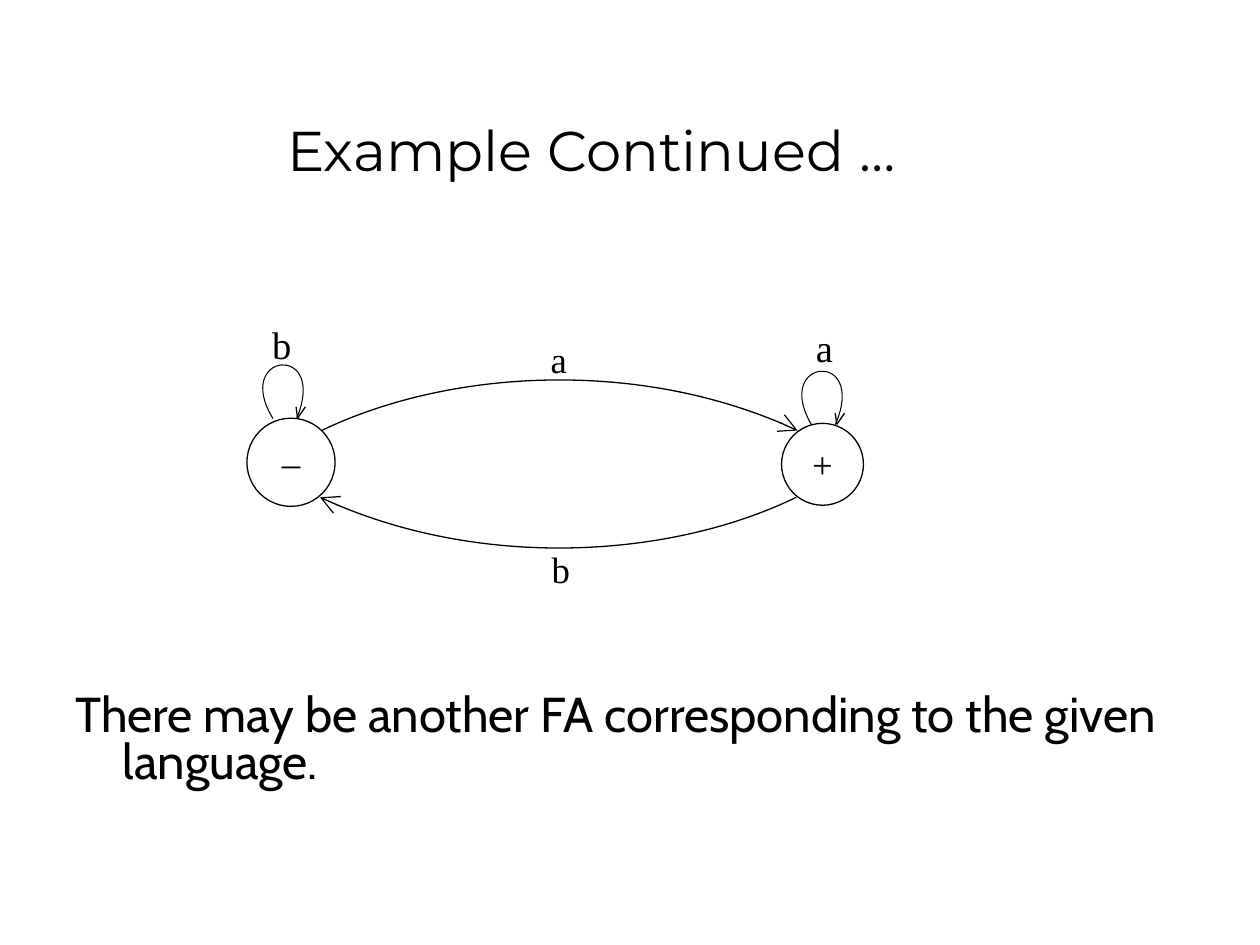
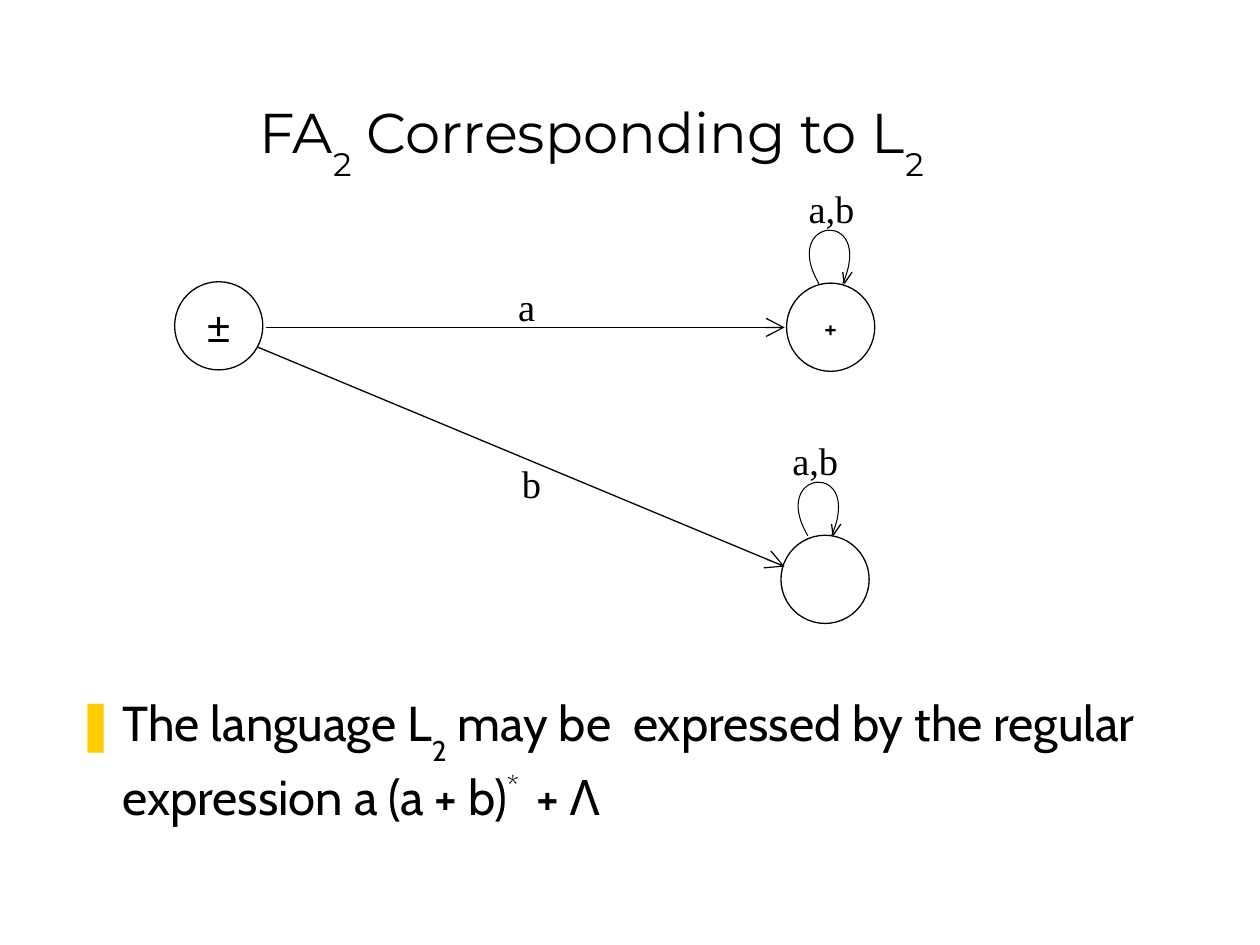
from lxml import etree
from pptx import Presentation
from pptx.dml.color import RGBColor
from pptx.enum.shapes import MSO_CONNECTOR, MSO_SHAPE
from pptx.enum.text import MSO_ANCHOR, PP_ALIGN
from pptx.oxml.ns import qn
from pptx.util import Pt

STRAIGHT = MSO_CONNECTOR.STRAIGHT
ELLIPSE = MSO_SHAPE.OVAL
TOP, MIDDLE, BOTTOM = MSO_ANCHOR.TOP, MSO_ANCHOR.MIDDLE, MSO_ANCHOR.BOTTOM
LEFT, CENTER = PP_ALIGN.LEFT, PP_ALIGN.CENTER

color = RGBColor.from_string
BLACK, WHITE, YELLOW = "000000", "FFFFFF", "FFCC00"
TITLE_FONT, BODY_FONT, LABEL_FONT = "Montserrat", "Cabin", "Times New Roman"
TITLE_AREA = (32, 18, 612, 90)
BODY_INSET = (7.2, 247.5)  # the sentence sits below the diagram
LINE_WIDTH, LOOP_WIDTH = 0.75, 0.6

# Self-loop and the two strokes of its arrowhead, relative to the loop's corner
LOOP_CURVE = [(25.8, 45.8), (0, 9.7), (54.2, 0), (39.4, 44.6)]
LOOP_HEAD = [[(38.3, 45.4), (42.7, 39)], [(37.4, 39), (38.3, 45.4)]]

SLIDES = [
    {
        "title": [("Example Continued …", 0)],
        "body": [("There may be another FA corresponding to the given language.", 0)],
        "body_top": 149.8, "line_spacing": 0.8, "bullet": False,
        # left, top, diameter, text, font, size
        "states": [(141.1, 239, 50.4, "–", LABEL_FONT, 21),
                   (446.6, 241.9, 46.8, "+", LABEL_FONT, 21)],
        # left, top, rotation
        "loops": [(131.8, 193.5, 4), (439.9, 197.1, 5)],
        "curves": [[(183.8, 246), (253.4, 212.4), (365.8, 203.8), (455.8, 246)],
                   [(455, 284.2), (385.2, 318.2), (272.9, 326.2), (182.9, 284.2)]],
        "lines": [],
        # left, top, width, text, size
        "labels": [(459.1, 181.4, 60.5, "a", 22), (148.5, 180, 60.5, "b", 22),
                   (308.2, 308.9, 28, "b", 21), (307.6, 189, 24, "a", 21)],
    },
    {
        "title": [("FA", 0), ("2", -40), (" Corresponding to L", 0), ("2", -40)],
        "body": [("The language L", 0), ("2", -40),
                 (" may be  expressed by the regular expression a (a + b)", 0),
                 ("* ", 40), (" + Λ", 0)],
        "body_top": 148.3, "line_spacing": 1.0, "bullet": True,
        "states": [(99.8, 161, 50.4, "±", "Arial", 24),
                   (449.5, 161.8, 50.4, "+", BODY_FONT, 16),
                   (446.3, 305.9, 50.4, "", BODY_FONT, 16)],
        "loops": [(444.2, 116.5, 5), (437.8, 260.5, 5)],
        "curves": [],
        "lines": [(151.9, 187.1, 448.4, 187.1), (146.9, 198.2, 448.4, 323.8)],
        "labels": [(455, 102.2, 98.6, "a,b", 22), (445.7, 246.2, 98.6, "a,b", 22),
                   (289, 158, 98.6, "a", 22), (291.2, 259.2, 98.6, "b", 22)],
    },
]


def write_text(box, runs, font, size, align=LEFT, anchor=TOP, inset=(7.2, 3.6)):
    """Fill the box with one paragraph of (text, baseline percent) runs."""
    frame = box.text_frame
    frame_format = {"word_wrap": True, "vertical_anchor": anchor,
                    "margin_left": Pt(inset[0]), "margin_right": Pt(inset[0]),
                    "margin_top": Pt(inset[1]), "margin_bottom": Pt(min(inset[1], 3.6))}
    for name, value in frame_format.items():
        setattr(frame, name, value)
    para = frame.paragraphs[0]
    para.alignment = align
    for text, baseline in runs:
        span = para.add_run()
        span.text = text
        for name, value in {"name": font, "size": Pt(size)}.items():
            setattr(span.font, name, value)
        span.font.color.rgb = color(BLACK)
        if baseline:
            span._r.get_or_add_rPr().set("baseline", str(baseline * 1000))
    return para


def draw_path(page, points, left=0, top=0):
    """Draw an open outline: two points make a line, four a cubic curve."""
    corners = [(Pt(left + x), Pt(top + y)) for x, y in points]
    builder = page.shapes.build_freeform(*corners[0])
    builder.add_line_segments(corners[1:], close=False)
    outline = builder.convert_to_shape()
    outline.shadow.inherit = False
    outline.fill.background()
    if len(points) == 4:
        track = outline._element.find(".//" + qn("a:path"))
        segments = track.findall(qn("a:lnTo"))
        curve = etree.SubElement(track, qn("a:cubicBezTo"))
        for segment in segments:
            curve.append(segment[0])
            track.remove(segment)
    return outline


deck = Presentation()
deck.slide_width, deck.slide_height = Pt(720), Pt(540)

for content in SLIDES:
    page = deck.slides.add_slide(deck.slide_layouts[6])
    page.background.fill.solid()
    page.background.fill.fore_color.rgb = color(WHITE)

    # Title
    box = page.shapes.add_textbox(*map(Pt, TITLE_AREA))
    write_text(box, content["title"], TITLE_FONT, 32, CENTER, BOTTOM)

    # Body sentence with hanging indent
    box = page.shapes.add_textbox(Pt(36), Pt(content["body_top"]), Pt(643.7), Pt(328.3))
    para = write_text(box, content["body"], BODY_FONT, 28, inset=BODY_INSET)
    para.line_spacing = content["line_spacing"]
    properties = para._p.get_or_add_pPr()
    properties.set("marL", str(Pt(27)))
    properties.set("indent", str(Pt(-27)))
    if content["bullet"]:
        bullet_color = etree.SubElement(properties, qn("a:buClr"))
        etree.SubElement(bullet_color, qn("a:srgbClr"), val=YELLOW)
        etree.SubElement(properties, qn("a:buChar"), char="❚")

    # States
    strokes = []  # shape, line width, has arrowhead
    for left, top, diameter, text, font, size in content["states"]:
        state = page.shapes.add_shape(ELLIPSE, Pt(left), Pt(top), Pt(diameter), Pt(diameter))
        state.shadow.inherit = False
        state.fill.solid()
        state.fill.fore_color.rgb = color(WHITE)
        if text:
            write_text(state, [(text, 0)], font, size, CENTER, MIDDLE, (0, 0))
        strokes.append((state, LINE_WIDTH, False))

    # Transitions between states
    for points in content["curves"]:
        strokes.append((draw_path(page, points), LINE_WIDTH, True))
    for ends in content["lines"]:
        line = page.shapes.add_connector(STRAIGHT, *map(Pt, ends))
        etree.SubElement(line._element.spPr, qn("a:effectLst"))
        strokes.append((line, LINE_WIDTH, True))

    # Self-loops with open arrowheads
    for left, top, rotation in content["loops"]:
        loop = draw_path(page, LOOP_CURVE, left, top)
        loop.rotation = rotation
        strokes.append((loop, LOOP_WIDTH, False))
        for points in LOOP_HEAD:
            strokes.append((draw_path(page, points, left, top), LINE_WIDTH, False))

    # Line style
    for shape, width, arrow in strokes:
        shape.line.color.rgb = color(BLACK)
        shape.line.width = Pt(width)
        if arrow:
            etree.SubElement(shape.line._get_or_add_ln(), qn("a:tailEnd"),
                             type="arrow", w="lg", len="lg")

    # Transition labels
    for left, top, width, text, size in content["labels"]:
        box = page.shapes.add_textbox(Pt(left), Pt(top), Pt(width), Pt(37))
        write_text(box, [(text, 0)], LABEL_FONT, size)

deck.save("out.pptx")
